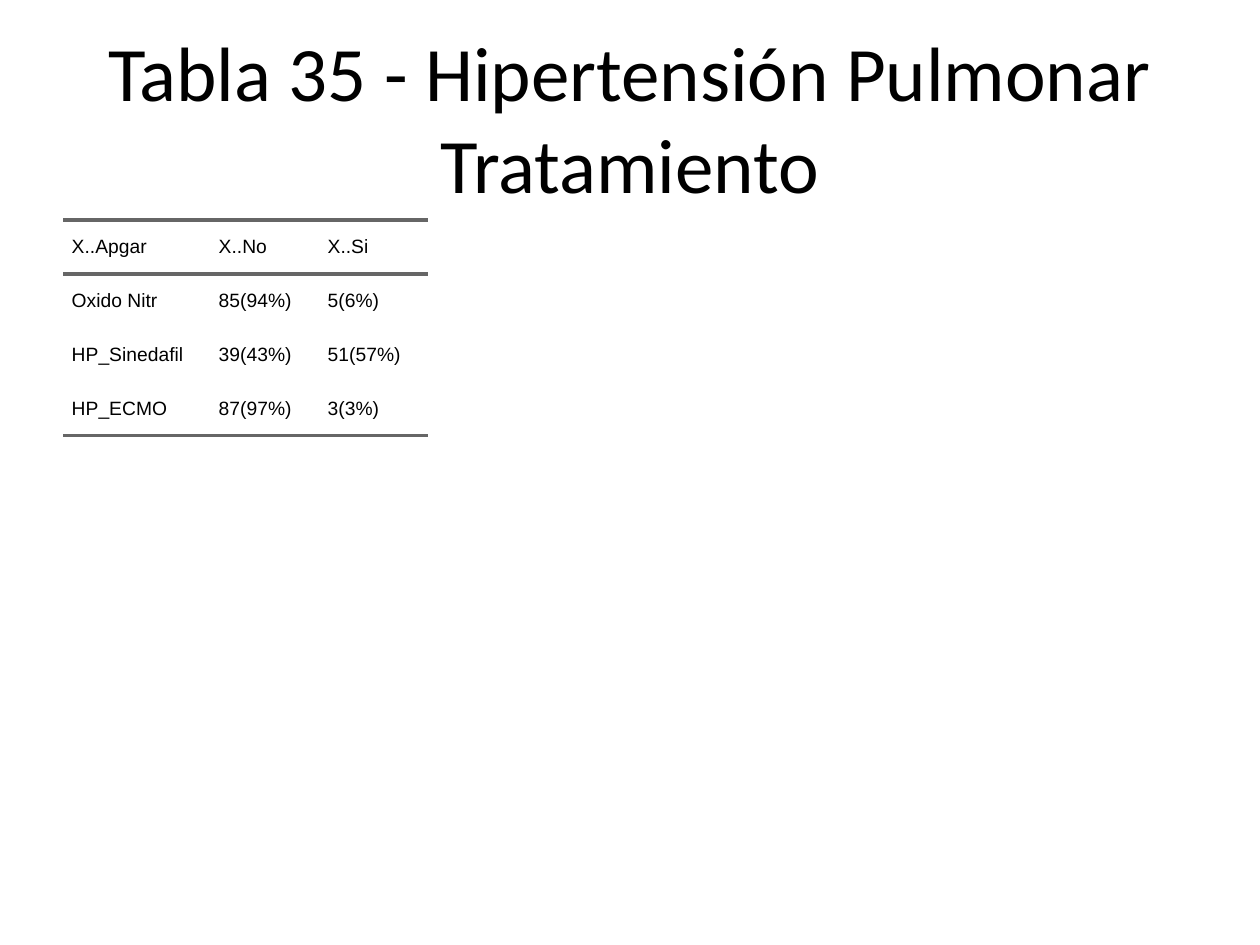
from lxml import etree
from pptx import Presentation
from pptx.dml.color import RGBColor
from pptx.enum.text import MSO_ANCHOR, PP_ALIGN
from pptx.oxml.ns import qn
from pptx.util import Pt

EMU_PER_PX = 914400 // 126
CENTER = PP_ALIGN.CENTER
MIDDLE = MSO_ANCHOR.MIDDLE
TITLE_ONLY_LAYOUT = 5
NO_STYLE_NO_GRID = "{2D5ABB26-0587-4C30-8999-92F81FD0307C}"

COLORS = {"text": "000000", "rule": "666666"}
COLUMN_WIDTHS = [147, 109, 109]
ROW_HEIGHT = 54
TREATMENTS = [
    ["X..Apgar", "X..No", "X..Si"],
    ["Oxido Nitr", "85(94%)", "5(6%)"],
    ["HP_Sinedafil", "39(43%)", "51(57%)"],
    ["HP_ECMO", "87(97%)", "3(3%)"],
]


def px(length):
    return length * EMU_PER_PX


def add_run(paragraph, text, font_name, size):
    run = paragraph.add_run()
    run.text = text
    run.font.name = font_name
    run.font.size = Pt(size)
    run.font.color.rgb = RGBColor.from_string(COLORS["text"])


def set_title(slide, text):
    title = slide.shapes.title
    title.left, title.top = px(63), px(38)
    title.width, title.height = px(1134), px(158)
    title.text_frame.word_wrap = True
    title.text_frame.vertical_anchor = MIDDLE
    paragraph = title.text_frame.paragraphs[0]
    paragraph.alignment = CENTER
    add_run(paragraph, text, "Calibri", 44)


def add_rule(cell, side):
    """Draw a 2 pt border; side is lnT or lnB, added in that order."""
    properties = cell._tc.get_or_add_tcPr()
    line = etree.SubElement(properties, qn(f"a:{side}"), w=str(Pt(2)))
    fill = etree.SubElement(line, qn("a:solidFill"))
    etree.SubElement(fill, qn("a:srgbClr"), val=COLORS["rule"])


def fill_cell(cell, text):
    cell.margin_left = cell.margin_right = 0
    cell.margin_top = cell.margin_bottom = 0
    cell.vertical_anchor = MIDDLE
    cell.fill.background()
    paragraph = cell.text_frame.paragraphs[0]
    paragraph.space_before = paragraph.space_after = Pt(5)
    paragraph._p.get_or_add_pPr().set("marL", str(Pt(5)))
    add_run(paragraph, text, "Arial", 11)


def add_treatment_table(slide, rows):
    """Add a table ruled above and below its header and under its last row."""
    width, height = px(1134), px(624)
    frame = slide.shapes.add_table(
        len(rows), len(COLUMN_WIDTHS), px(63), px(220), width, height)
    table = frame.table
    table.first_row = table.horz_banding = False
    table._tbl.tblPr.find(qn("a:tableStyleId")).text = NO_STYLE_NO_GRID
    for column, column_width in zip(table.columns, COLUMN_WIDTHS):
        column.width = px(column_width)
    for row in table.rows:
        row.height = px(ROW_HEIGHT)
    # Sizing the grid shrinks the frame, which spans the content area.
    frame.width, frame.height = width, height

    for row_index, texts in enumerate(rows):
        for column_index, text in enumerate(texts):
            cell = table.cell(row_index, column_index)
            if row_index == 0:
                add_rule(cell, "lnT")
            if row_index in (0, len(rows) - 1):
                add_rule(cell, "lnB")
            fill_cell(cell, text)


def main():
    presentation = Presentation()
    presentation.slide_width = px(1260)
    presentation.slide_height = px(945)
    layout = presentation.slide_layouts[TITLE_ONLY_LAYOUT]
    slide = presentation.slides.add_slide(layout)
    set_title(slide, "Tabla 35 - Hipertensión Pulmonar Tratamiento")
    add_treatment_table(slide, TREATMENTS)
    presentation.save("out.pptx")


if __name__ == "__main__":
    main()
